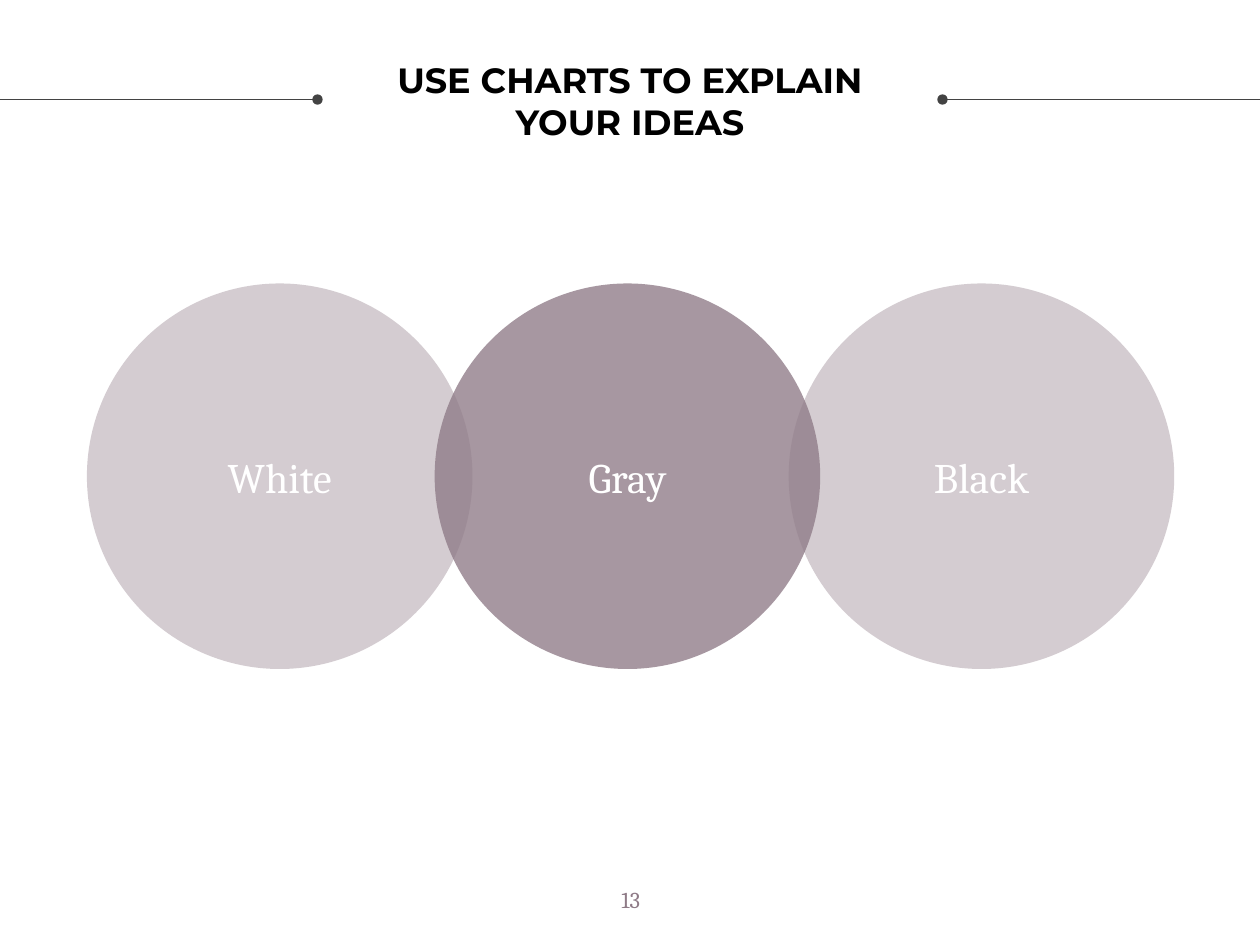
from lxml.etree import SubElement
from pptx import Presentation
from pptx.dml.color import RGBColor
from pptx.enum.shapes import MSO_CONNECTOR, MSO_SHAPE
from pptx.enum.text import MSO_ANCHOR, MSO_AUTO_SIZE, PP_ALIGN
from pptx.oxml.ns import qn
from pptx.util import Inches, Pt

COLS, ROWS = 100, 75
MAUVE, RULE, BLACK, WHITE = "8F7B87", "434343", "000000", "FFFFFF"
TITLE = {"name": "Montserrat", "size": Pt(20), "bold": True}
LABEL = {"name": "Cambria", "size": Pt(24)}
NUMBER = {"name": "Cambria", "size": Pt(13)}


def rgb(value):
    return RGBColor.from_string(value)


class SlideBuilder:
    """Places elements on one slide, measured in columns and rows."""

    def __init__(self, prs):
        self.col = prs.slide_width / COLS
        self.row = prs.slide_height / ROWS
        self.s = prs.slides.add_slide(prs.slide_layouts[6])

    def box(self, x, y, w, h):
        return (round(x * self.col), round(y * self.row),
                round(w * self.col), round(h * self.row))

    def rule(self, x1, x2, y):
        """Draw a horizontal line with a dot at its start, x1."""
        ln = self.s.shapes.add_connector(
            MSO_CONNECTOR.STRAIGHT, *self.box(x1, y, x2, y))
        ln.line.color.rgb = rgb(RULE)
        ln.line.width = Pt(0.75)
        SubElement(ln.line._get_or_add_ln(), qn("a:headEnd"), type="oval")
        SubElement(ln._element.spPr, qn("a:effectLst"))

    def text(self, text, area, font, color, parent=None, wrap=True,
             anchor=MSO_ANCHOR.MIDDLE, fit=MSO_AUTO_SIZE.SHAPE_TO_FIT_TEXT):
        tf = (parent or self.s).shapes.add_textbox(*self.box(*area)).text_frame
        frame = {"word_wrap": wrap, "vertical_anchor": anchor, "auto_size": fit}
        for side in ("left", "right", "top", "bottom"):
            frame[f"margin_{side}"] = Inches(0.1)
        for name, value in frame.items():
            setattr(tf, name, value)
        p = tf.paragraphs[0]
        p.alignment = PP_ALIGN.CENTER
        r = p.add_run()
        r.text = text
        for name, value in font.items():
            setattr(r.font, name, value)
        r.font.color.rgb = rgb(color)

    def circle(self, label, x, y, size, opacity):
        """Group a translucent circle with its centred label."""
        group = self.s.shapes.add_group_shape()
        sp = group.shapes.add_shape(MSO_SHAPE.OVAL, *self.box(x, y, size, size))
        sp.shadow.inherit = False
        sp.fill.solid()
        sp.fill.fore_color.rgb = rgb(MAUVE)
        color = sp._element.spPr.find(qn("a:solidFill"))[0]
        SubElement(color, qn("a:alpha"), val=str(opacity * 1000))
        sp.line.fill.background()
        w, h = 21.7, 6.3
        area = (x + (size - w) / 2, y + (size - h) / 2, w, h)
        self.text(label, area, LABEL, WHITE, parent=group)


def main():
    prs = Presentation()
    prs.slide_width, prs.slide_height = Inches(10), Inches(7.5)
    b = SlideBuilder(prs)

    for dot, edge in ((25.2, 0), (74.8, COLS)):
        b.rule(dot, edge, 7.9)
    b.text("USE CHARTS TO EXPLAIN YOUR IDEAS", (28.7, 1.7, 42.6, 12.5),
           TITLE, BLACK, fit=MSO_AUTO_SIZE.NONE)

    for label, x, opacity in (("Gray", 34.5, 78), ("White", 6.9, 38),
                              ("Black", 62.6, 38)):
        b.circle(label, x, 22.5, 30.6, opacity)

    b.text("13", (48, 69.3, 4.1, 4.4), NUMBER, MAUVE, wrap=False,
           anchor=MSO_ANCHOR.TOP)
    prs.save("out.pptx")


if __name__ == "__main__":
    main()
